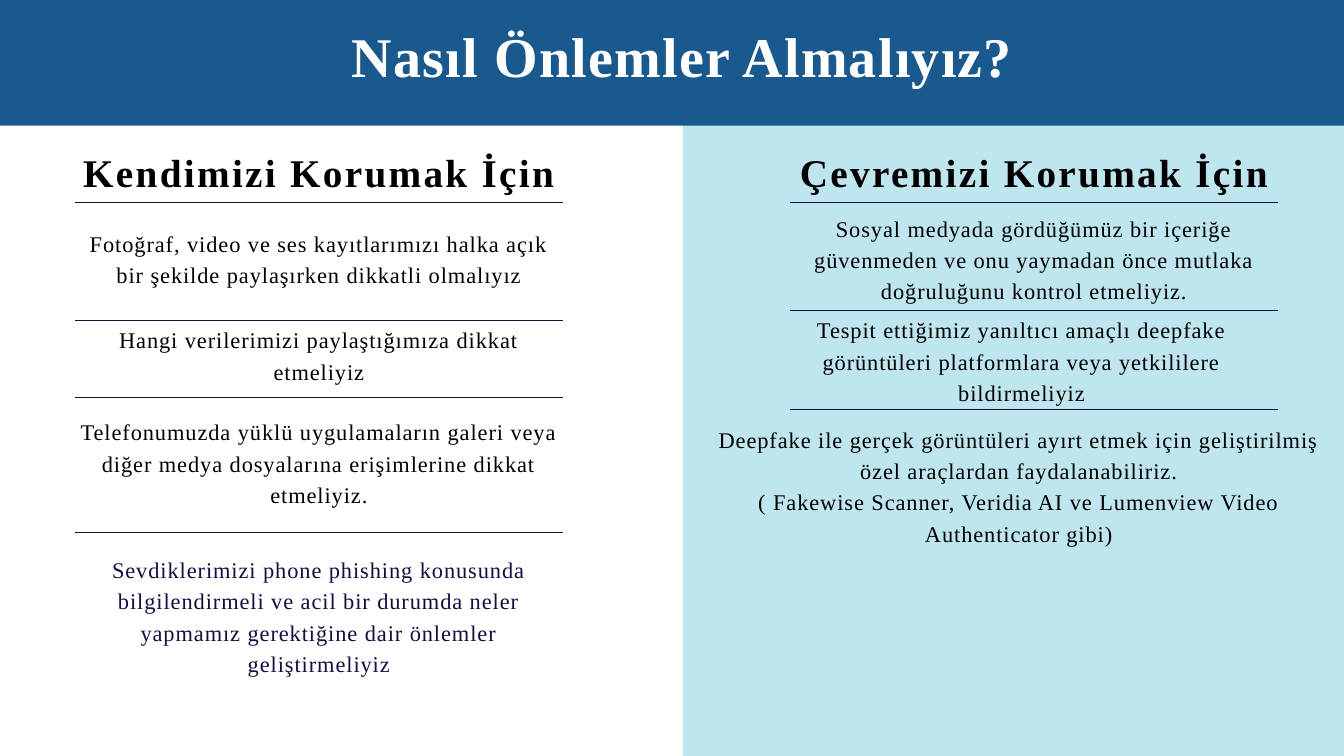
from lxml.etree import SubElement
from pptx import Presentation
from pptx.dml.color import RGBColor
from pptx.enum.shapes import MSO_CONNECTOR, MSO_SHAPE
from pptx.enum.text import MSO_AUTO_SIZE, PP_ALIGN
from pptx.oxml.ns import qn
from pptx.util import Cm, Pt

COLORS = {
    "band": "19598D",
    "panel": "BFE5EF",
    "navy": "120E40",
    "black": "000000",
    "white": "FFFFFF",
}

# Text styles: font values, line spacing in points, letter spacing in 1/100 point
STYLES = {
    "title": {"font": {"size": Pt(60), "bold": True}, "leading": 78, "tracking": 140},
    "heading": {"font": {"size": Pt(42), "bold": True}, "leading": 46.2, "tracking": 250},
    "body": {"font": {"size": Pt(24), "bold": False}, "leading": 33.6, "tracking": 100},
}

LEFT_X, RIGHT_X, COLUMN_WIDTH = 2.84, 29.87, 18.43
HEADING_Y, HEADING_HEIGHT = 5.77, 1.9
BODY_LINE = 1.19


def color(name):
    return RGBColor.from_string(COLORS[name])


def add_text(left, top, width, height, paragraphs, style, color_name="black"):
    box = slide.shapes.add_textbox(Cm(left), Cm(top), Cm(width), Cm(height))
    frame = box.text_frame
    frame_format = {
        "word_wrap": True,
        "auto_size": MSO_AUTO_SIZE.SHAPE_TO_FIT_TEXT,
        "margin_left": 0,
        "margin_top": 0,
        "margin_right": 0,
        "margin_bottom": 0,
    }
    for name, value in frame_format.items():
        setattr(frame, name, value)
    frame.text = "\n".join(paragraphs)
    for paragraph in frame.paragraphs:
        paragraph.alignment = PP_ALIGN.CENTER
        paragraph.line_spacing = Pt(STYLES[style]["leading"])
        for run in paragraph.runs:
            run.font.name = "Times New Roman"
            run.font.color.rgb = color(color_name)
            for name, value in STYLES[style]["font"].items():
                setattr(run.font, name, value)
            run.font._element.set("spc", str(STYLES[style]["tracking"]))


presentation = Presentation()
presentation.slide_width = Cm(50.8)
presentation.slide_height = Cm(28.58)
slide = presentation.slides.add_slide(presentation.slide_layouts[6])

# Right panel, then the title band over its top
for fill, left, top, width, height in [
    ("panel", 25.81, 1.63, 25.4, 28.58),
    ("band", 0, 0, 52.37, 4.75),
]:
    shape = slide.shapes.add_shape(
        MSO_SHAPE.RECTANGLE, Cm(left), Cm(top), Cm(width), Cm(height)
    )
    shape.shadow.inherit = False
    shape.fill.solid()
    shape.fill.fore_color.rgb = color(fill)
    shape.line.fill.background()

# Divider lines of both columns
for left, divider_tops in [
    (LEFT_X, [7.65, 12.12, 15.04, 20.12]),
    (RIGHT_X, [7.65, 11.73, 15.47]),
]:
    for top in divider_tops:
        divider = slide.shapes.add_connector(
            MSO_CONNECTOR.STRAIGHT, Cm(left), Cm(top), Cm(left + COLUMN_WIDTH), Cm(top)
        )
        divider.line.color.rgb = color("navy")
        divider.line.width = Pt(0.75)
        SubElement(divider._element.spPr, qn("a:effectLst"))

# Title and column headings
add_text(1.32, 0.61, 48.95, 3.05, ["Nasıl Önlemler Almalıyız?"], "title", "white")
for left, heading in [
    (LEFT_X, "Kendimizi Korumak İçin"),
    (RIGHT_X, "Çevremizi Korumak İçin"),
]:
    add_text(left, HEADING_Y, COLUMN_WIDTH, HEADING_HEIGHT, [heading], "heading")

# Advice: left, top, width, number of lines, colour, paragraphs
advice = [
    (LEFT_X, 8.53, COLUMN_WIDTH, 2, "black",
     ["Fotoğraf, video ve ses kayıtlarımızı halka açık bir şekilde "
      "paylaşırken dikkatli olmalıyız"]),
    (LEFT_X, 12.17, COLUMN_WIDTH, 2, "black",
     ["Hangi verilerimizi paylaştığımıza dikkat etmeliyiz"]),
    (LEFT_X, 15.65, COLUMN_WIDTH, 3, "black",
     ["Telefonumuzda yüklü uygulamaların galeri veya diğer medya "
      "dosyalarına erişimlerine dikkat etmeliyiz."]),
    (LEFT_X, 20.85, COLUMN_WIDTH, 4, "navy",
     ["Sevdiklerimizi phone phishing konusunda bilgilendirmeli ve acil bir "
      "durumda neler yapmamız gerektiğine dair önlemler geliştirmeliyiz"]),
    (RIGHT_X, 7.95, COLUMN_WIDTH, 3, "black",
     ["Sosyal medyada gördüğümüz bir içeriğe güvenmeden ve onu yaymadan "
      "önce mutlaka doğruluğunu kontrol etmeliyiz."]),
    (28.85, 11.79, 19.53, 3, "black",
     ["Tespit ettiğimiz yanıltıcı amaçlı deepfake görüntüleri platformlara "
      "veya yetkililere bildirmeliyiz"]),
    (26.8, 15.93, 23.42, 4, "black",
     ["Deepfake ile gerçek görüntüleri ayırt etmek için geliştirilmiş özel "
      "araçlardan faydalanabiliriz.",
      "( Fakewise Scanner, Veridia AI ve Lumenview Video Authenticator gibi)"]),
]
for left, top, width, lines, color_name, paragraphs in advice:
    add_text(left, top, width, lines * BODY_LINE, paragraphs, "body", color_name)

presentation.save("out.pptx")
